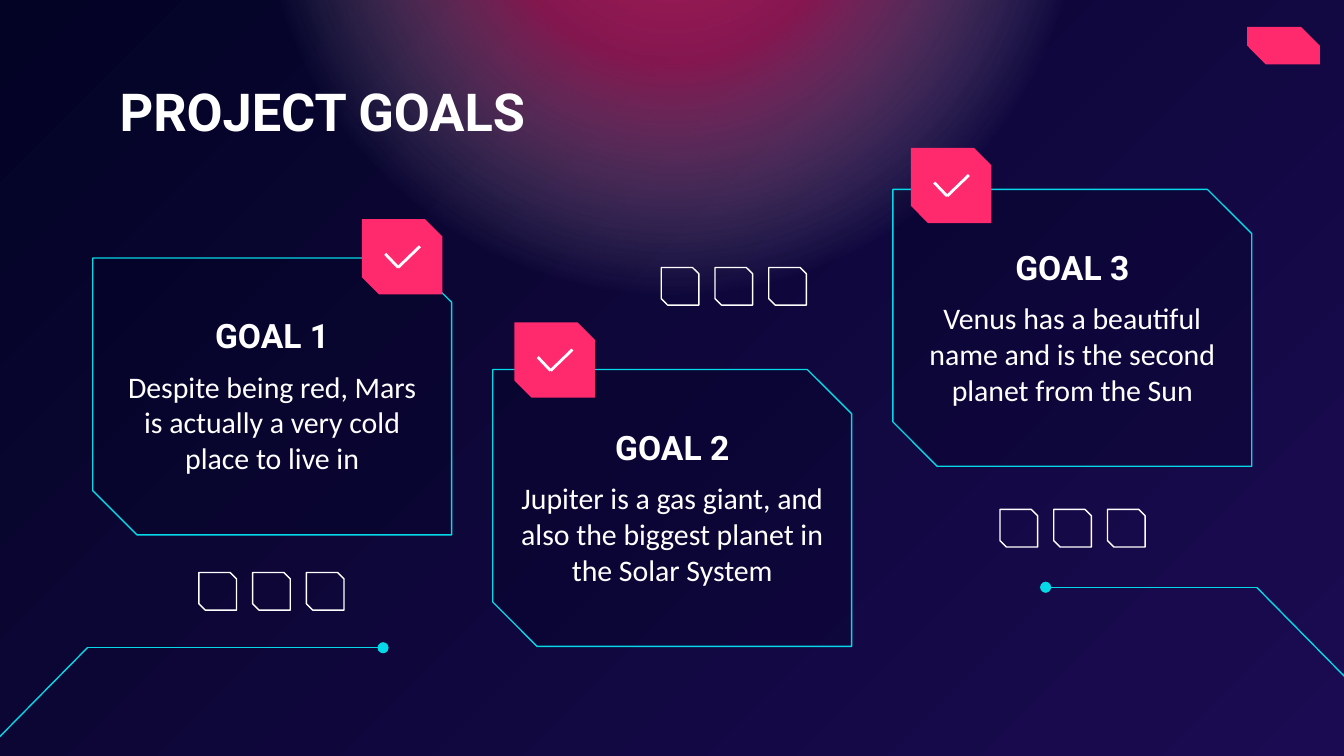
from dataclasses import dataclass

from lxml.etree import SubElement
from pptx import Presentation
from pptx.dml.color import RGBColor
from pptx.enum.shapes import MSO_CONNECTOR, MSO_SHAPE
from pptx.enum.text import MSO_ANCHOR, MSO_AUTO_SIZE, PP_ALIGN
from pptx.oxml import parse_xml
from pptx.oxml.ns import nsdecls, qn
from pptx.util import Inches, Pt

NIGHT = RGBColor(0x03, 0x03, 0x25)
PURPLE = RGBColor(0x1B, 0x0B, 0x52)
PINK = RGBColor(0xFF, 0x29, 0x6D)
CYAN = RGBColor(0x05, 0xD8, 0xE7)
WHITE = RGBColor(0xFF, 0xFF, 0xFF)

COLS, ROWS = 100, 56.25
UNIT = Inches(10) / COLS

CARD_W, CARD_H, CARD_PITCH = 26.7, 20.6, 29.77
BADGE_W, BADGE_H = 6, 5.6
SQUARE, SQUARE_PITCH = 2.8, 4

GOALS = [
    ("GOAL 1", "Despite being red, Mars is actually a very cold place to live in", 19.2, (0.75, -0.14)),
    ("GOAL 2", "Jupiter is a gas giant, and also the biggest planet in the Solar System", 27.5, (0.06, -0.17)),
    ("GOAL 3", "Venus has a beautiful name and is the second planet from the Sun", 14.1, (0.05, -0.15)),
]
SQUARE_ROWS = [(49.2, 19.9), (14.8, 42.6), (74.4, 37.9)]
TRACES = [
    [(100.4, 50.7), (93.5, 43.7), (77.8, 43.7)],
    [(-0.4, 55.2), (6.5, 48.2), (28.5, 48.2)],
]
GLOW_STOPS = [(0, PINK, 67), (30, PINK, 49), (69, WHITE, 0), (100, WHITE, 0)]


@dataclass
class Box:
    x: float
    y: float
    w: float
    h: float

    def at(self, fx, fy):
        return self.x + fx * self.w, self.y + fy * self.h

    def inset(self, fx, fy, fw, fh):
        return Box(*self.at(fx, fy), fw * self.w, fh * self.h)

    def emu(self):
        return [round(v * UNIT) for v in (self.x, self.y, self.w, self.h)]


def add_snip(slide, box, cut, fill=None, line=None):
    sp = slide.shapes.add_shape(MSO_SHAPE.SNIP_2_DIAG_RECTANGLE, *box.emu())
    sp.shadow.inherit = False
    sp.adjustments[0], sp.adjustments[1] = 0, cut
    if fill is None:
        sp.fill.background()
    else:
        sp.fill.solid()
        sp.fill.fore_color.rgb = fill
    if line is None:
        sp.line.fill.background()
    else:
        sp.line.color.rgb = line
        sp.line.width = Pt(0.75)
    return sp


def add_lines(slide, points, color, width):
    for start, end in zip(points, points[1:]):
        ends = [round(v * UNIT) for v in (*start, *end)]
        ln = slide.shapes.add_connector(MSO_CONNECTOR.STRAIGHT, *ends)
        ln.line.color.rgb = color
        ln.line.width = Pt(width)
        SubElement(ln.element.spPr, qn("a:effectLst"))
    return ln


def set_text(sp, text, font, size, bold, align, anchor):
    tf = sp.text_frame
    tf.word_wrap = True
    tf.auto_size = MSO_AUTO_SIZE.NONE
    tf.vertical_anchor = anchor
    tf.margin_left = tf.margin_right = tf.margin_top = tf.margin_bottom = Inches(0.1)
    p = tf.paragraphs[0]
    p.text = text
    p.alignment = align
    p.font.name, p.font.size, p.font.bold = font, Pt(size), bold
    p.font.color.rgb = WHITE
    return p


def draw_background(slide):
    fill = slide.background.fill
    fill.gradient()
    fill.gradient_angle = 315
    for stop, color in zip(fill.gradient_stops, (NIGHT, PURPLE)):
        stop.color.rgb = color


def draw_glow(slide, box):
    sp = slide.shapes.add_shape(MSO_SHAPE.OVAL, *box.emu())
    sp.shadow.inherit = False
    sp.line.fill.background()
    stops = "".join(
        f'<a:gs pos="{pos * 1000}"><a:srgbClr val="{color}">'
        f'<a:alpha val="{alpha * 1000}"/></a:srgbClr></a:gs>'
        for pos, color, alpha in GLOW_STOPS
    )
    grad = parse_xml(
        f'<a:gradFill {nsdecls("a")}><a:gsLst>{stops}</a:gsLst><a:path path="circle">'
        '<a:fillToRect l="50000" t="50000" r="50000" b="50000"/></a:path></a:gradFill>'
    )
    sp.element.spPr.find(qn("a:prstGeom")).addnext(grad)


def draw_title(slide, box):
    title = slide.shapes.title
    title.element.getparent().append(title.element)
    title.left, title.top, title.width, title.height = box.emu()
    set_text(title, "PROJECT GOALS", "Roboto", 28, True, PP_ALIGN.LEFT, MSO_ANCHOR.TOP)


def draw_badge(slide, box):
    add_snip(slide, box, 0.23, fill=PINK)
    add_lines(slide, [box.at(0.29, 0.46), box.at(0.45, 0.64), box.at(0.72, 0.36)], WHITE, 1.5)


def draw_card(slide, box, heading, body, badge_at):
    panel = add_snip(slide, box, 0.16, fill=NIGHT, line=CYAN)
    color = panel.element.spPr.find(qn("a:solidFill"))[0]
    SubElement(color, qn("a:alpha"), val="31000")
    for text, top, height, font, size, bold, anchor in (
        (heading, 0.16, 0.24, "Roboto", 18, True, MSO_ANCHOR.MIDDLE),
        (body, 0.35, 0.49, "Calibri", 16, False, MSO_ANCHOR.TOP),
    ):
        tb = slide.shapes.add_textbox(*box.inset(0.03, top, 0.94, height).emu())
        p = set_text(tb, text, font, size, bold, PP_ALIGN.CENTER, anchor)
        p.space_after = Pt(12)
    draw_badge(slide, Box(*box.at(*badge_at), BADGE_W, BADGE_H))


def draw_squares(slide, x, y):
    for i in range(3):
        add_snip(slide, Box(x + i * SQUARE_PITCH, y, SQUARE, SQUARE), 0.17, line=WHITE)


def draw_trace(slide, points):
    ln = add_lines(slide, points, CYAN, 0.75)
    SubElement(ln.element.spPr.find(qn("a:ln")), qn("a:tailEnd"), type="oval")


def main():
    prs = Presentation()
    prs.slide_width, prs.slide_height = round(COLS * UNIT), round(ROWS * UNIT)
    slide = prs.slides.add_slide(prs.slide_layouts.get_by_name("Title Only"))
    draw_background(slide)
    draw_glow(slide, Box(18.7, -39.8, 62.5, 62.5))
    add_snip(slide, Box(92.8, 2, 5.4, 2.8), 0.5, fill=PINK)
    draw_title(slide, Box(7.9, 4.9, 78.5, 6.7))
    for i, (heading, body, top, badge_at) in enumerate(GOALS):
        box = Box(6.9 + i * CARD_PITCH, top, CARD_W, CARD_H)
        draw_card(slide, box, heading, body, badge_at)
    for x, y in SQUARE_ROWS:
        draw_squares(slide, x, y)
    for points in TRACES:
        draw_trace(slide, points)
    prs.save("out.pptx")


if __name__ == "__main__":
    main()
